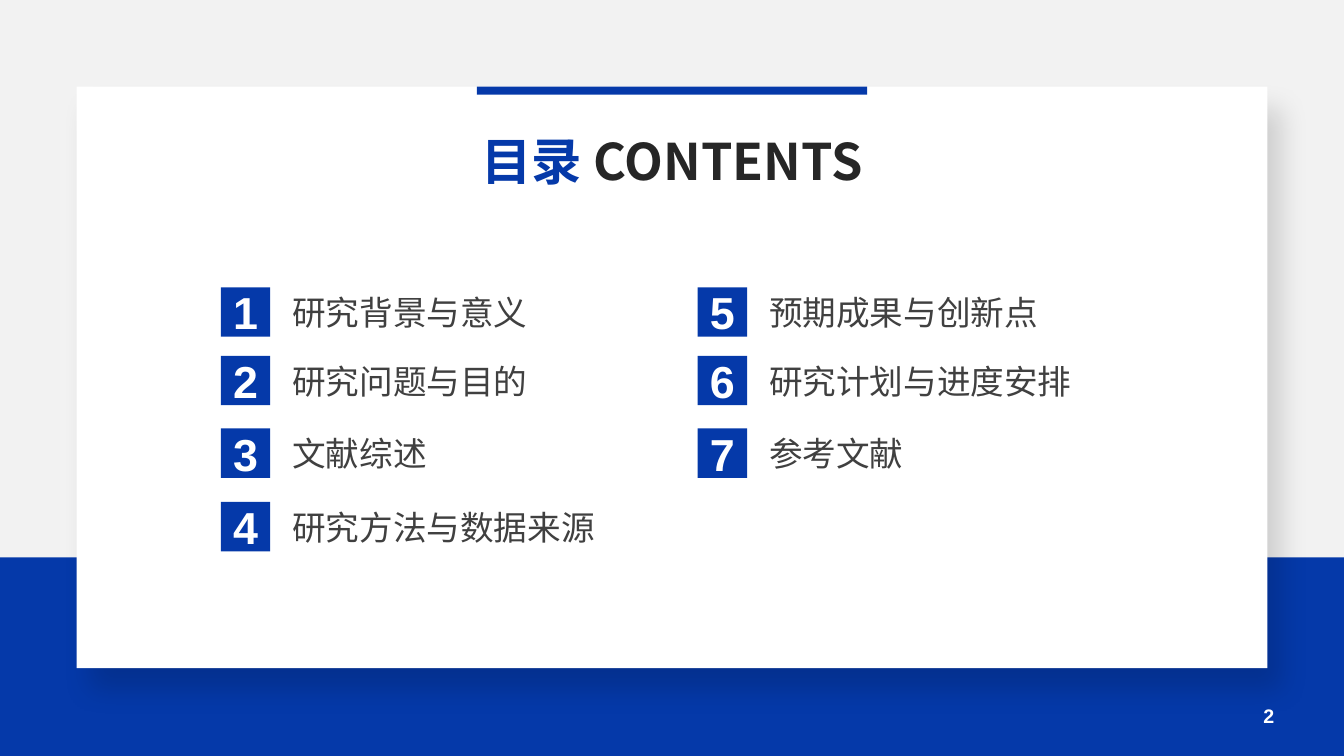
from dataclasses import dataclass
from math import ceil

from lxml.etree import SubElement
from pptx import Presentation
from pptx.dml.color import RGBColor
from pptx.enum.shapes import MSO_SHAPE
from pptx.enum.text import MSO_ANCHOR, MSO_AUTO_SIZE, PP_ALIGN
from pptx.oxml import parse_xml
from pptx.oxml.ns import nsdecls, qn
from pptx.util import Inches, Pt

# Content
TITLE = [("目录 ", "blue"), ("CONTENTS", "dark")]
COLUMNS = [
    ["研究背景与意义", "研究问题与目的", "文献综述", "研究方法与数据来源"],
    ["预期成果与创新点", "研究计划与进度安排", "参考文献"],
]
PAGE = "2"

# Places, in inches
LEFTS = (2.19, 6.92)
TOPS = (2.85, 3.53, 4.25, 4.98)
BADGE = 0.49
INDENT = 0.61


@dataclass(frozen=True)
class Theme:
    blue: str = "0539A9"
    dark: str = "262626"
    grey: str = "404040"
    white: str = "FFFFFF"
    back: str = "F2F2F2"
    latin: str = "Arial"
    cjk: str = "Noto Sans CJK SC"
    head: int = 36
    badge: int = 32
    body: int = 24
    page: int = 14


THEME = Theme()


def color(name):
    return RGBColor.from_string(getattr(THEME, name))


def write(shape, runs, size, font, bold=False, align=PP_ALIGN.LEFT,
          anchor=MSO_ANCHOR.TOP, insets=(0.1, 0.05), wrap=False):
    """Fill a shape with one paragraph of (text, colour name) runs."""
    frame = shape.text_frame
    frame.auto_size = MSO_AUTO_SIZE.NONE
    frame.word_wrap = wrap
    frame.vertical_anchor = anchor
    frame.margin_left = frame.margin_right = Inches(insets[0])
    frame.margin_top = frame.margin_bottom = Inches(insets[1])
    para = frame.paragraphs[0]
    para.alignment = align
    for text, name in runs:
        run = para.add_run()
        run.text = text
        run.font.size = Pt(size)
        run.font.bold = bold
        run.font.color.rgb = color(name)
        run.font.name = font
        SubElement(run.font._element, qn("a:ea"), typeface=font)


def block(slide, box, name):
    """Draw a plain filled rectangle."""
    shape = slide.shapes.add_shape(MSO_SHAPE.RECTANGLE, *map(Inches, box))
    shape.shadow.inherit = False
    shape.fill.solid()
    shape.fill.fore_color.rgb = color(name)
    shape.line.fill.background()
    return shape


def shade(shape):
    """Give a shape a soft shadow to the lower right."""
    effects = shape.element.spPr.find(qn("a:effectLst"))
    effects.append(parse_xml(
        f'<a:outerShdw {nsdecls("a")} blurRad="{Pt(20)}" dist="{Pt(19)}" '
        f'dir="{58 * 60000}" algn="tl" rotWithShape="0">'
        '<a:srgbClr val="000000"><a:alpha val="14000"/></a:srgbClr>'
        '</a:outerShdw>'))


def entry(slide, number, text, left, top):
    """Draw one numbered line of the contents."""
    badge = block(slide, (left, top, BADGE, BADGE), "blue")
    write(badge, [(str(number), "white")], THEME.badge, THEME.latin, bold=True,
          align=PP_ALIGN.CENTER, anchor=MSO_ANCHOR.MIDDLE, wrap=True)
    width = len(text) * THEME.body / 72 + 0.2
    box = (left + INDENT, top, ceil(width * 100) / 100, 0.5)
    label = slide.shapes.add_textbox(*map(Inches, box))
    write(label, [(text, "grey")], THEME.body, THEME.cjk)


def main():
    deck = Presentation()
    deck.slide_width, deck.slide_height = Inches(13.33), Inches(7.5)
    slide = deck.slides.add_slide(deck.slide_layouts[5])

    # Background, lower band and card
    slide.background.fill.solid()
    slide.background.fill.fore_color.rgb = color("back")
    block(slide, (0, 5.53, 13.33, 1.97), "blue")
    shade(block(slide, (0.76, 0.86, 11.81, 5.77), "white"))

    # Title, brought in front of the card
    title = slide.shapes.title
    title.left, title.top = Inches(4.67), Inches(1.19)
    title.width, title.height = Inches(3.99), Inches(0.8)
    write(title, TITLE, THEME.head, THEME.cjk, bold=True,
          align=PP_ALIGN.CENTER, anchor=MSO_ANCHOR.BOTTOM, insets=(0, 0.1))
    title.element.getparent().append(title.element)
    block(slide, (4.73, 0.86, 3.87, 0.08), "blue")

    # Contents, numbered down each column
    number = 0
    for left, column in zip(LEFTS, COLUMNS):
        for top, text in zip(TOPS, column):
            number += 1
            entry(slide, number, text, left, top)

    # Page number
    page = slide.shapes.add_textbox(*map(Inches, (12.53, 6.98, 0.11, 0.24)))
    write(page, [(PAGE, "white")], THEME.page, THEME.latin, bold=True,
          align=PP_ALIGN.CENTER, anchor=MSO_ANCHOR.MIDDLE, insets=(0, 0))

    deck.save("out.pptx")


if __name__ == "__main__":
    main()
